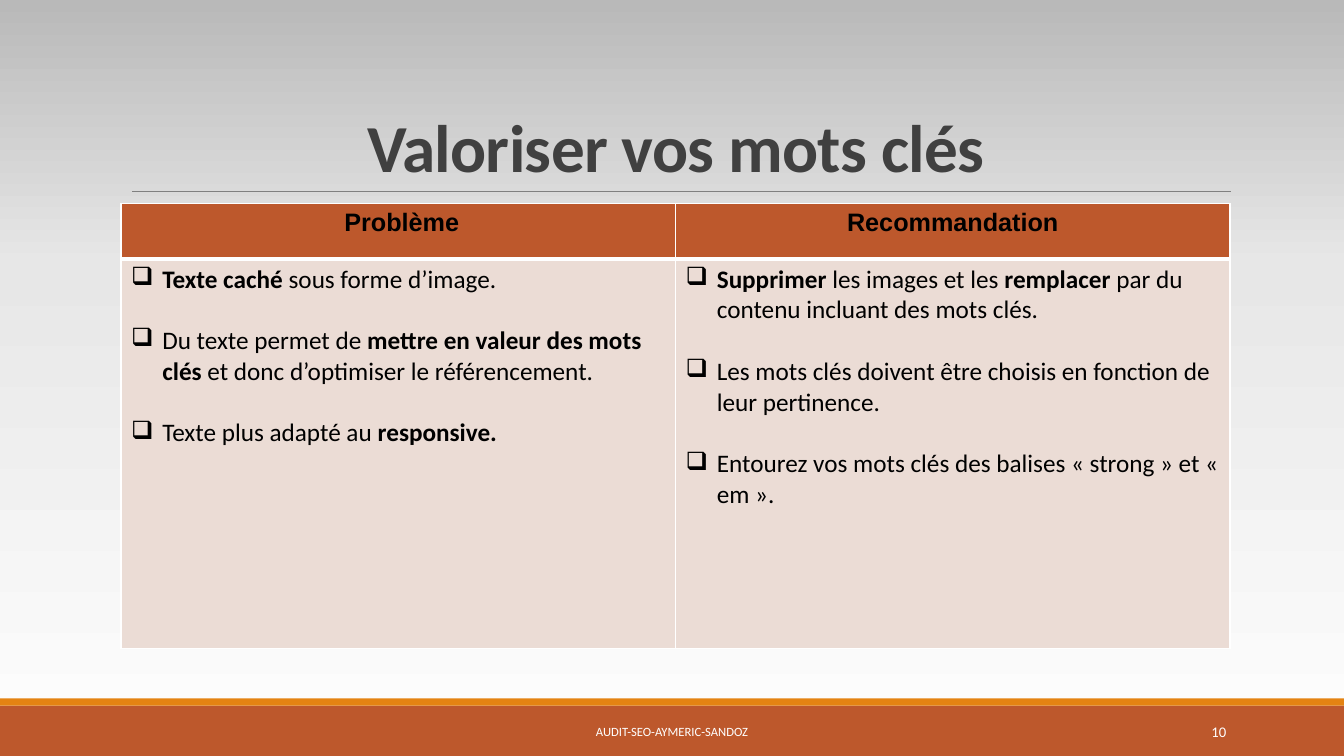
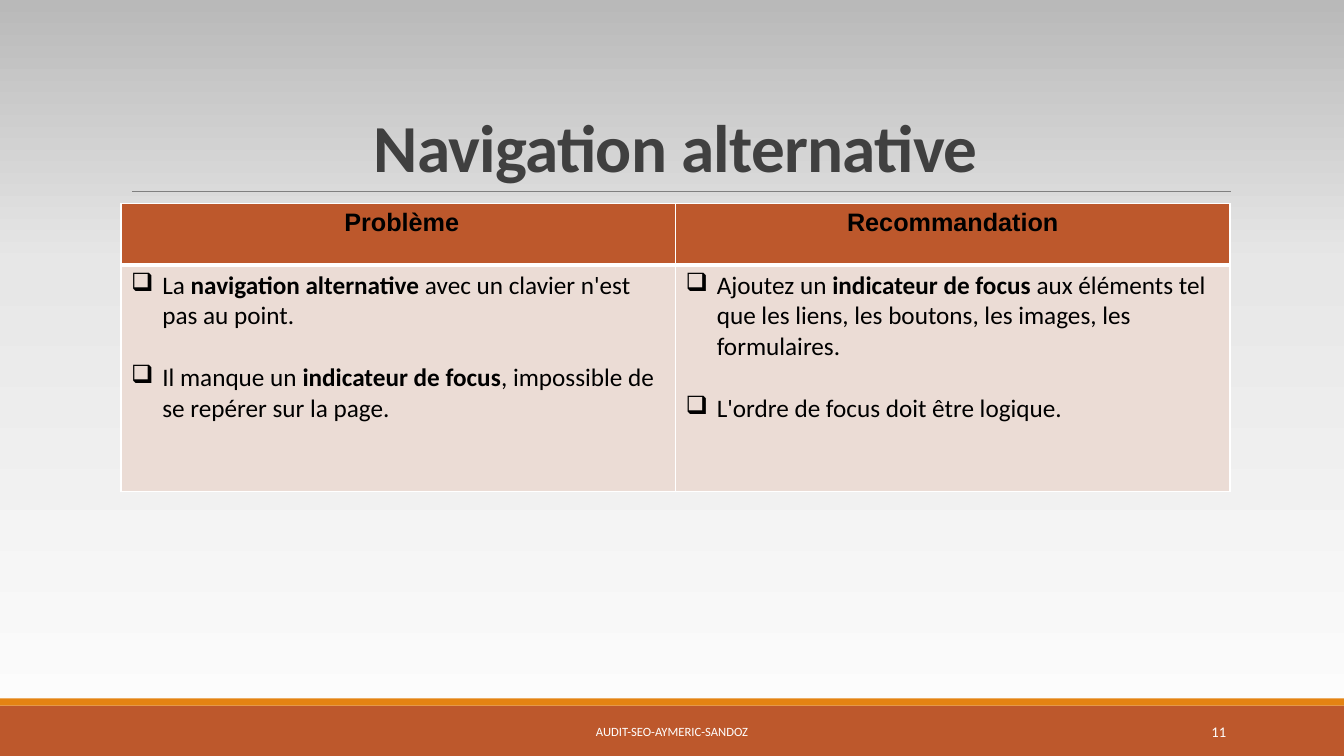
from copy import deepcopy

from lxml.etree import SubElement
from pptx import Presentation
from pptx.dml.color import RGBColor
from pptx.enum.shapes import MSO_CONNECTOR as Connector, MSO_SHAPE as Shape
from pptx.enum.text import MSO_ANCHOR as Anchor, MSO_AUTO_SIZE as AutoSize, PP_ALIGN as Align
from pptx.oxml.ns import qn
from pptx.util import Inches, Pt

COLORS = {
    "rust": "BD582C",
    "orange": "E48312",
    "rule": "808080",
    "title": "404040",
    "cell": "EBDCD5",
    "white": "FFFFFF",
    "black": "000000",
}
BACKGROUND_STOPS = [(0, "FEFEFE"), (0.65, "E7E7E7"), (1, "B9B9B9")]
HEADERS = [" Problème", "Recommandation"]
FOOTER = "AUDIT-SEO-AYMERIC-SANDOZ"
TITLE_ONLY = 5

SLIDES = [
    {
        "number": 10,
        "title": "Valoriser vos mots clés",
        "heights": [0.55, 3.86],
        "columns": [
            [
                "**Texte caché **sous forme d’image.",
                "Du texte permet de **mettre en valeur des mots clés **et donc d’optimiser le référencement.",
                "Texte plus adapté au **responsive.**",
            ],
            [
                "**Supprimer** les images et les **remplacer** par du contenu incluant des mots clés.",
                "Les mots clés doivent être choisis en fonction de leur pertinence.",
                "Entourez vos mots clés des balises « strong » et « em ».",
            ],
        ],
    },
    {
        "number": 11,
        "title": "Navigation alternative",
        "heights": [0.61, 2.25],
        "columns": [
            [
                "La **navigation alternative **avec un clavier n'est pas au point.",
                "Il manque un **indicateur de focus**, impossible de se repérer sur la page.",
            ],
            [
                "Ajoutez un **indicateur de focus **aux éléments tel que les liens, les boutons, les images, les formulaires.",
                "L'ordre de focus doit être logique.",
            ],
        ],
    },
]


def rgb(name):
    return RGBColor.from_string(COLORS[name])


class Deck:
    def __init__(self):
        self.presentation = Presentation()
        self.presentation.slide_width = Inches(13.33)
        self.presentation.slide_height = Inches(7.5)
        self.slide = None
        self.paint_background()

    def paint_background(self):
        master = self.presentation.slide_master
        fill = master.background.fill
        fill.gradient()
        fill.gradient_angle = 90
        stop_list = next(master.element.iter(qn("a:gsLst")))
        stop_list.append(deepcopy(stop_list[0]))
        for stop, (position, color) in zip(fill.gradient_stops, BACKGROUND_STOPS):
            stop.position = position
            stop.color.rgb = RGBColor.from_string(color)

    def add_slide(self, number):
        layout = self.presentation.slide_layouts[TITLE_ONLY]
        self.slide = self.presentation.slides.add_slide(layout)
        self.band(7, 0.5, "rust")
        self.band(6.93, 0.07, "orange")
        self.rule(1.31, 12.21, 1.9)
        self.footer(4.03, 5.27, FOOTER, 9, Align.CENTER)
        self.footer(10.83, 1.43, str(number), 10.5, Align.RIGHT)

    def style(self, run, size, color, bold=False, name="Calibri"):
        run.font.name = name
        run.font.size = Pt(size)
        run.font.bold = bold
        run.font.color.rgb = rgb(color)

    def band(self, top, height, color):
        shape = self.slide.shapes.add_shape(
            Shape.RECTANGLE, 0, Inches(top), self.presentation.slide_width, Inches(height))
        shape.shadow.inherit = False
        shape.fill.solid()
        shape.fill.fore_color.rgb = rgb(color)
        shape.line.fill.background()

    def rule(self, left, right, top):
        line = self.slide.shapes.add_connector(
            Connector.STRAIGHT, Inches(left), Inches(top), Inches(right), Inches(top))
        line.line.color.rgb = rgb("rule")
        line.line.width = Pt(0.5)
        SubElement(line.element.spPr, qn("a:effectLst"))

    def footer(self, left, width, text, size, align):
        box = self.slide.shapes.add_textbox(
            Inches(left), Inches(7.06), Inches(width), Inches(0.4))
        frame = box.text_frame
        frame.word_wrap = True
        frame.vertical_anchor = Anchor.MIDDLE
        frame.text = text
        paragraph = frame.paragraphs[0]
        paragraph.alignment = align
        self.style(paragraph.runs[0], size, "white")

    def title(self, text):
        shape = self.slide.shapes.title
        shape.left, shape.top = Inches(1.2), Inches(0.31)
        shape.width, shape.height = Inches(11), Inches(1.59)
        frame = shape.text_frame
        frame.text = text
        frame.auto_size = AutoSize.NONE
        frame.vertical_anchor = Anchor.BOTTOM
        paragraph = frame.paragraphs[0]
        paragraph.alignment = Align.CENTER
        paragraph.line_spacing = 0.85
        run = paragraph.runs[0]
        self.style(run, 48, "title", bold=True)
        run.font._element.set("spc", "-50")

    def table(self, heights, columns):
        frame = self.slide.shapes.add_table(
            2, len(columns), Inches(1.2), Inches(2.02), Inches(11), Inches(sum(heights)))
        table = frame.table
        table.first_row = False
        table.horz_banding = False
        for row, height in zip(table.rows, heights):
            row.height = Inches(height)
        for index, (header, items) in enumerate(zip(HEADERS, columns)):
            self.header_cell(table.cell(0, index), header)
            self.list_cell(table.cell(1, index), items)

    def cell_box(self, cell, color, top, bottom):
        properties = cell._tc.get_or_add_tcPr()
        for side, width in (("L", 1), ("R", 1), ("T", top), ("B", bottom)):
            border = SubElement(properties, qn(f"a:ln{side}"), w=str(Pt(width)))
            fill = SubElement(border, qn("a:solidFill"))
            SubElement(fill, qn("a:srgbClr"), val=COLORS["white"])
        cell.fill.solid()
        cell.fill.fore_color.rgb = rgb(color)

    def header_cell(self, cell, text):
        self.cell_box(cell, "rust", 1, 3)
        cell.text_frame.text = text
        paragraph = cell.text_frame.paragraphs[0]
        paragraph.alignment = Align.CENTER
        self.style(paragraph.runs[0], 18, "black", bold=True, name="Arial")

    def list_cell(self, cell, items):
        self.cell_box(cell, "cell", 3, 1)
        frame = cell.text_frame
        for index, item in enumerate(items):
            paragraph = frame.add_paragraph() if index else frame.paragraphs[0]
            self.bullet(paragraph)
            if index:
                paragraph.space_before = Pt(22)
            for part, text in enumerate(item.split("**")):
                if text:
                    run = paragraph.add_run()
                    run.text = text
                    self.style(run, 18, "black", bold=part % 2 == 1)

    def bullet(self, paragraph):
        properties = paragraph._p.get_or_add_pPr()
        indent = Inches(0.31)
        properties.set("marL", str(indent))
        properties.set("indent", str(-indent))
        SubElement(properties, qn("a:buChar"), char="❑")


def main():
    deck = Deck()
    for content in SLIDES:
        deck.add_slide(content["number"])
        deck.title(content["title"])
        deck.table(content["heights"], content["columns"])
    deck.presentation.save("out.pptx")


if __name__ == "__main__":
    main()
